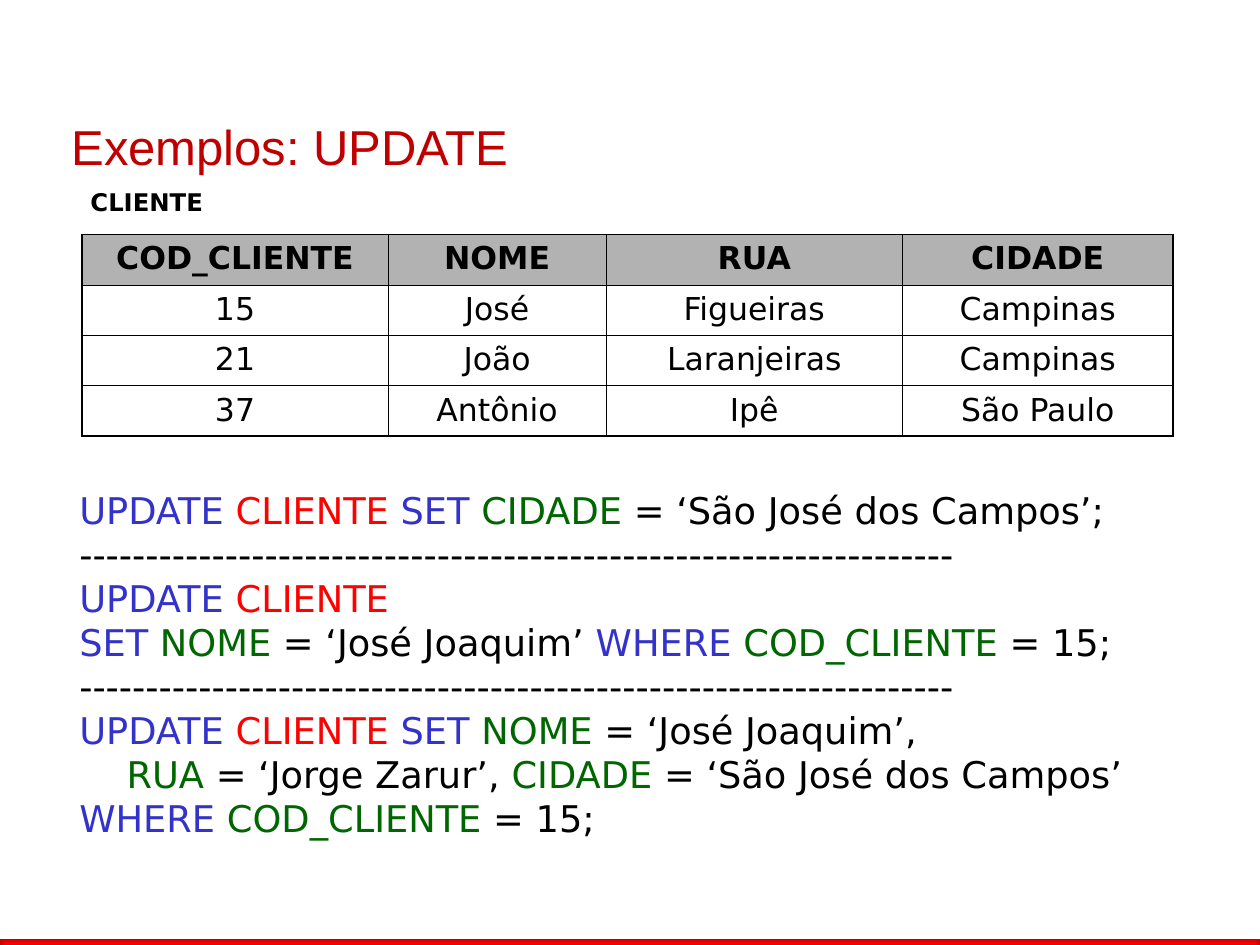
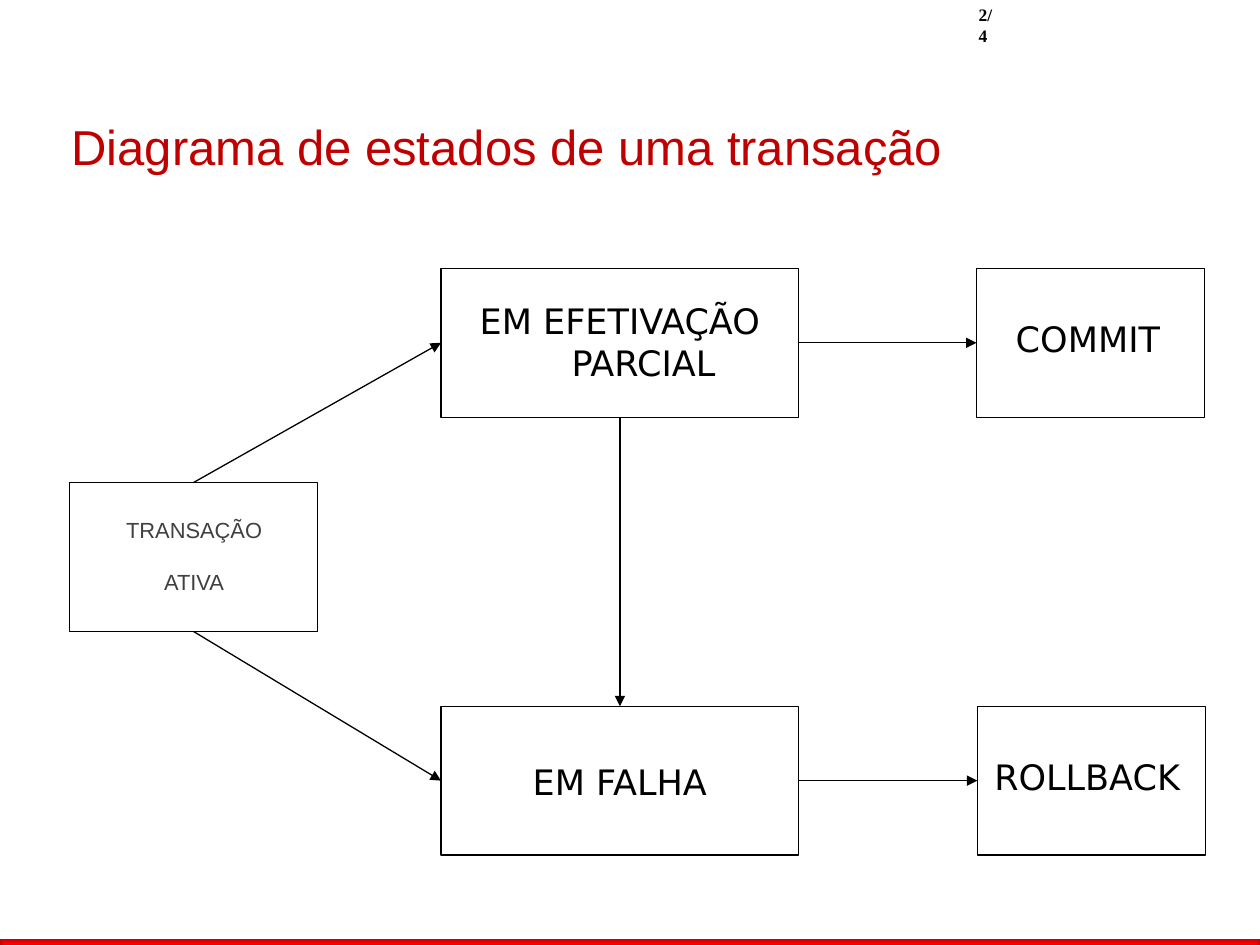
"""Builds two database slides: UPDATE examples and transaction states."""
import dataclasses
import itertools

import pptx
import pptx.dml.color
import pptx.enum.shapes
import pptx.enum.text
import pptx.oxml
import pptx.oxml.ns
import pptx.util

Pt = pptx.util.Pt
RGB = pptx.dml.color.RGBColor.from_string
qn = pptx.oxml.ns.qn
CENTER = pptx.enum.text.PP_ALIGN.CENTER
MIDDLE = pptx.enum.text.MSO_ANCHOR.MIDDLE
RECTANGLE = pptx.enum.shapes.MSO_SHAPE.RECTANGLE
STRAIGHT = pptx.enum.shapes.MSO_CONNECTOR.STRAIGHT
NS = pptx.oxml.ns.nsdecls("a")


@dataclasses.dataclass
class Theme:
    black: str = "000000"
    title_red: str = "C00000"
    band_red: str = "FF0000"
    table_name: str = "FF0000"
    keyword: str = "3333CC"
    column: str = "006600"
    header: str = "B2B2B2"
    grey: str = "404040"
    indent: float = 27
    outer_line: float = 1.08
    inner_line: float = 0.45
    title: dict = dataclasses.field(default_factory=lambda: {"name": "Arial", "size": Pt(28)})
    table: dict = dataclasses.field(default_factory=lambda: {"name": "DejaVu Sans", "size": Pt(18)})
    code: dict = dataclasses.field(default_factory=lambda: {"name": "DejaVu Sans", "size": Pt(21)})
    caption: dict = dataclasses.field(
        default_factory=lambda: {"name": "DejaVu Sans", "size": Pt(13.9), "bold": True})
    state: dict = dataclasses.field(default_factory=lambda: {"name": "DejaVu Sans", "size": Pt(20)})
    active: dict = dataclasses.field(default_factory=lambda: {"name": "Arial", "size": Pt(12.5)})
    page: dict = dataclasses.field(
        default_factory=lambda: {"name": "Times New Roman", "size": Pt(10), "bold": True})


theme = Theme()


def write(tf, lines, font, para=None, hang=0):
    for i, runs in enumerate(lines):
        p = tf.add_paragraph() if i else tf.paragraphs[0]
        for key, value in (para or {}).items():
            setattr(p, key, value)
        if hang:
            pPr = p._p.get_or_add_pPr()
            pPr.set("marL", str(Pt(hang)))
            pPr.set("indent", str(-Pt(hang)))
        for text, color in runs:
            r = p.add_run()
            r.text = text
            for key, value in font.items():
                setattr(r.font, key, value)
            r.font.color.rgb = RGB(color)


def add_text(s, box, lines, font, para=None, hang=0, **frame):
    tf = s.shapes.add_textbox(*map(Pt, box)).text_frame
    for key, value in {"word_wrap": True, **frame}.items():
        setattr(tf, key, value)
    write(tf, lines, font, para, hang)
    return tf


prs = pptx.Presentation()
prs.slide_width, prs.slide_height = Pt(720), Pt(540)

slides = []
for title in ("Exemplos: UPDATE", "Diagrama de estados de uma transação"):
    s = prs.slides.add_slide(prs.slide_layouts[6])
    band = s.shapes.add_shape(RECTANGLE, 0, Pt(536.4), prs.slide_width, Pt(5.6))
    band.shadow.inherit = False
    band.line.fill.background()
    band.fill.gradient()
    for stop, color in zip(band.fill.gradient_stops, (theme.band_red, theme.title_red)):
        stop.color.rgb = RGB(color)
    grad = band._element.spPr.find(qn("a:gradFill"))
    grad.remove(grad.find(qn("a:lin")))
    grad.append(pptx.oxml.parse_xml(
        f'<a:path {NS} path="rect"><a:fillToRect l="50000" t="50000" r="50000" b="50000"/></a:path>'))
    add_text(s, (33.8, 54.7, 648, 56.9), [[(title, theme.title_red)]], theme.title,
             vertical_anchor=MIDDLE)
    slides.append(s)
update_slide, state_slide = slides

rows = [
    ("COD_CLIENTE", "NOME", "RUA", "CIDADE"),
    ("15", "José", "Figueiras", "Campinas"),
    ("21", "João", "Laranjeiras", "Campinas"),
    ("37", "Antônio", "Ipê", "São Paulo"),
]
widths = (175, 124.5, 169.5, 154.5)
height = 28.8
table = update_slide.shapes.add_table(
    len(rows), len(widths), Pt(46.8), Pt(134), Pt(sum(widths)), Pt(height * len(rows))).table
table.first_row = table.horz_banding = False
for column, width in zip(table.columns, widths):
    column.width = Pt(width)
for y, values in enumerate(rows):
    table.rows[y].height = Pt(height)
    for x, value in enumerate(values):
        cell = table.cell(y, x)
        write(cell.text_frame, [[(value, theme.black)]], {**theme.table, "bold": y == 0},
              {"alignment": CENTER, "space_before": Pt(4.5)})
        edges = {"L": x == 0, "R": x == len(widths) - 1, "T": y == 0, "B": y == len(rows) - 1}
        for side, outer in edges.items():
            weight = Pt(theme.outer_line if outer else theme.inner_line)
            cell._tc.get_or_add_tcPr().append(pptx.oxml.parse_xml(
                f'<a:ln{side} {NS} w="{weight}"><a:solidFill>'
                f'<a:srgbClr val="{theme.black}"/></a:solidFill></a:ln{side}>'))
        if y == 0:
            cell.fill.solid()
            cell.fill.fore_color.rgb = RGB(theme.header)
        else:
            cell.fill.background()

word_colors = {
    **dict.fromkeys(("UPDATE", "SET", "WHERE"), theme.keyword),
    **dict.fromkeys(rows[0], theme.column),
    "CLIENTE": theme.table_name,
}
separator = "-" * 66
code = [
    "UPDATE CLIENTE SET CIDADE = ‘São José dos Campos’;",
    separator,
    "UPDATE CLIENTE",
    "SET NOME = ‘José Joaquim’ WHERE COD_CLIENTE = 15;",
    separator,
    "UPDATE CLIENTE SET NOME = ‘José Joaquim’,",
    "RUA = ‘Jorge Zarur’, CIDADE = ‘São José dos Campos’",
    "WHERE COD_CLIENTE = 15;",
]
code_lines = []
for line in code:
    groups = itertools.groupby(line.split(), lambda word: word_colors.get(word, theme.black))
    runs = [(" ".join(words) + " ", color) for color, words in groups]
    runs[-1] = (runs[-1][0].rstrip(), runs[-1][1])
    code_lines.append(runs)
tf = add_text(update_slide, (38.2, 275, 646.6, 239), code_lines, theme.code, hang=theme.indent)
tf.paragraphs[6]._p.pPr.set("indent", "0")
add_text(update_slide, (44.6, 106.6, 120, 25), [[("CLIENTE", theme.black)]], theme.caption,
         {"line_spacing": 0.8}, theme.indent)

state_height = 85
top_row, bottom_row = 153.4, 403.6
states = {
    "active": ((39.6, 275.8, 141.8), (38.2, 291.6, 145.4, 51), ("TRANSAÇÃO", "ATIVA")),
    "partial": ((252, top_row, 204.5), (263.5, 167.8, 181.4, 57), ("EM EFETIVAÇÃO PARCIAL",)),
    "failed": ((252, bottom_row, 204.5), (263.5, 431.3, 181.4, 39.6), ("EM FALHA",)),
    "commit": ((558, top_row, 130.3), (565.2, 177.8, 113, 36.7), ("COMMIT",)),
    "rollback": ((558.5, bottom_row, 130.3), (559.4, 428.4, 123.8, 36.7), ("ROLLBACK",)),
}
boxes = {}
for name, ((left, top, width), label_box, labels) in states.items():
    font, color, para = theme.state, theme.black, {"alignment": CENTER}
    if name == "active":
        font, color = theme.active, theme.grey
        para = {**para, "space_before": Pt(5), "space_after": Pt(10)}
    add_text(state_slide, label_box, [[(label, color)] for label in labels], font, para,
             theme.indent)
    sp = state_slide.shapes.add_shape(RECTANGLE, *map(Pt, (left, top, width, state_height)))
    sp.shadow.inherit = False
    sp.fill.background()
    sp.line.color.rgb = RGB(theme.black)
    sp.line.width = Pt(0.75)
    boxes[name] = sp

TOP, LEFT, BOTTOM, RIGHT = range(4)
transitions = [
    ("active", TOP, "partial", LEFT),
    ("active", BOTTOM, "failed", LEFT),
    ("partial", RIGHT, "commit", LEFT),
    ("failed", RIGHT, "rollback", LEFT),
    ("partial", BOTTOM, "failed", TOP),
]
for source, source_side, target, target_side in transitions:
    arrow = state_slide.shapes.add_connector(STRAIGHT, 0, 0, 0, 0)
    arrow.begin_connect(boxes[source], source_side)
    arrow.end_connect(boxes[target], target_side)
    arrow.line.color.rgb = RGB(theme.black)
    arrow.line.width = Pt(0.75)
    arrow.line._get_or_add_ln().append(pptx.oxml.parse_xml(f'<a:tailEnd {NS} type="triangle"/>'))
    arrow._element.spPr.append(pptx.oxml.parse_xml(f"<a:effectLst {NS}/>"))

add_text(state_slide, (552.2, -1.4, 26.6, 19.4), [[("2/4", theme.black)]], theme.page,
         word_wrap=False)

prs.save("out.pptx")
